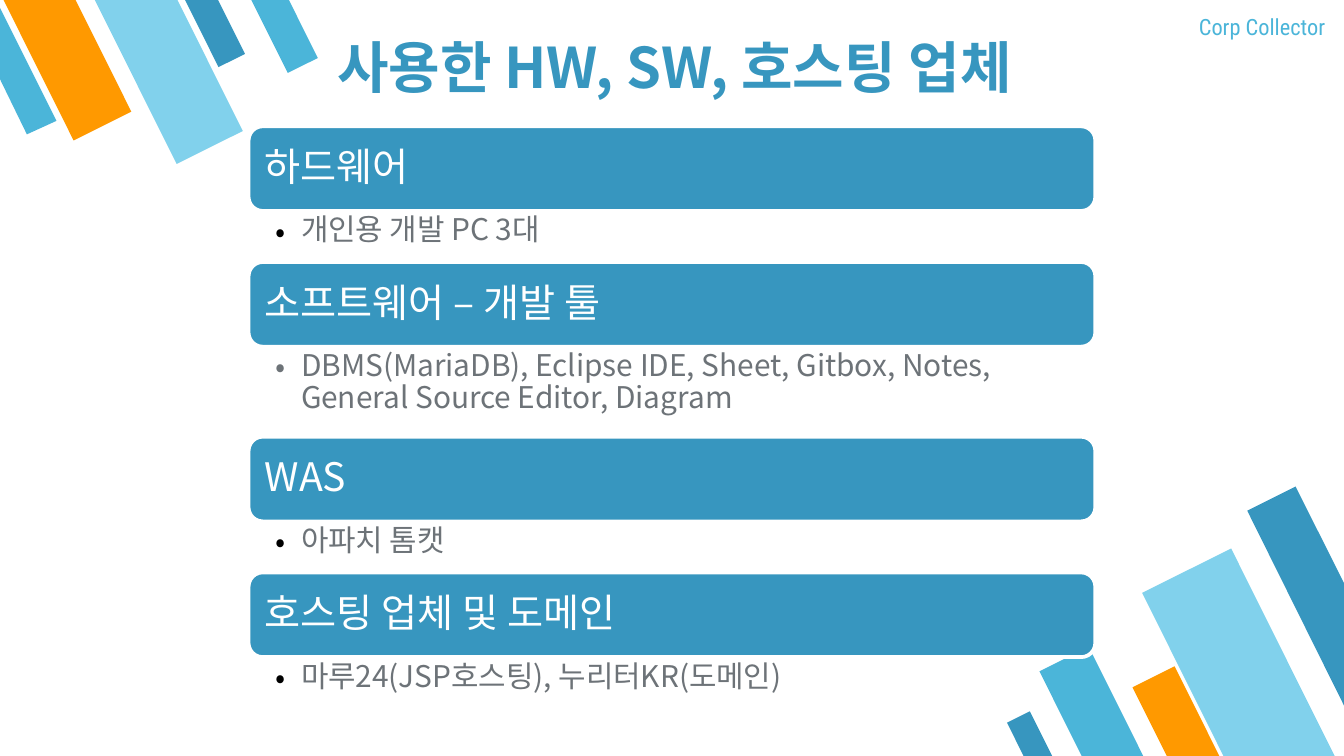
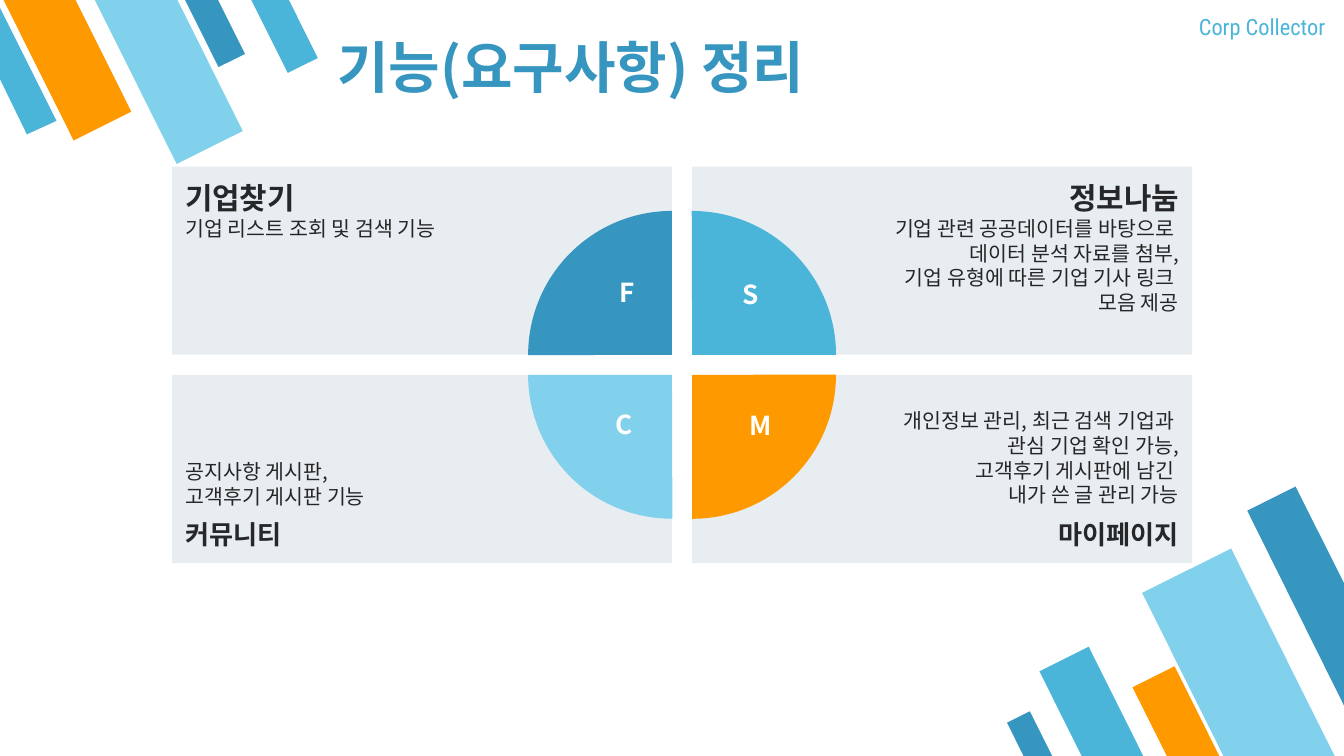
from dataclasses import dataclass

from lxml import etree
from pptx import Presentation
from pptx.dml.color import RGBColor
from pptx.enum.shapes import MSO_SHAPE
from pptx.enum.text import MSO_ANCHOR, MSO_AUTO_SIZE, PP_ALIGN
from pptx.oxml.ns import qn
from pptx.util import Inches, Pt

LEFT, CENTER, RIGHT = PP_ALIGN.LEFT, PP_ALIGN.CENTER, PP_ALIGN.RIGHT
TOP, MIDDLE, BOTTOM = MSO_ANCHOR.TOP, MSO_ANCHOR.MIDDLE, MSO_ANCHOR.BOTTOM
NO_AUTOFIT = MSO_AUTO_SIZE.NONE
RECTANGLE, ROUNDED = MSO_SHAPE.RECTANGLE, MSO_SHAPE.ROUNDED_RECTANGLE
SLANTED, PIE = MSO_SHAPE.FLOWCHART_MANUAL_INPUT, MSO_SHAPE.PIE
TITLE_ONLY = 5


@dataclass(frozen=True)
class Theme:
    blue: str = "3796BF"
    sky: str = "4BB5D9"
    pale: str = "81D1EC"
    orange: str = "FF9900"
    card: str = "E8EDF1"
    white: str = "FFFFFF"
    black: str = "000000"
    gray: str = "6D7378"
    dark: str = "252729"
    body: str = "262626"
    font: str = "Noto Sans CJK KR"
    brand_font: str = "Roboto Condensed"
    title_size: float = 30
    bar_size: float = 21
    detail_size: float = 16
    card_top_size: float = 16
    card_bottom_size: float = 14
    card_size: float = 11
    letter_size: float = 14
    brand_size: float = 12


THEME = Theme()

# Decoration: left, top, width, height, colour
TOP_BARS = [
    (1.49, -0.08, 0.22, 0.56, THEME.blue),
    (0.26, -0.18, 0.48, 1.18, THEME.orange),
    (0.98, -0.2, 0.55, 1.37, THEME.pale),
    (1.99, -0.1, 0.25, 0.62, THEME.sky),
]
TOP_EDGE = [(0.2, 1), (0.42, 0.9), (0, 0.06), (0, 0.59)]
BOTTOM_BARS = [
    (7.94, 4.85, 0.41, 1.02, THEME.sky),
    (8.87, 4.15, 0.74, 1.84, THEME.pale),
    (8.6, 4.99, 0.35, 0.86, THEME.orange),
    (7.59, 5.31, 0.19, 0.48, THEME.blue),
]
BOTTOM_EDGE = [(9.64, 3.62), (9.28, 3.8), (10, 5.25), (10, 4.34)]

# Heading, detail, detail height, bullet colour
RESOURCES = [
    ("하드웨어", "개인용 개발 PC 3대", 0.38, THEME.black),
    ("소프트웨어 – 개발 툴",
     "DBMS(MariaDB), Eclipse IDE, Sheet, Gitbox, Notes, "
     "General Source Editor, Diagram", 0.67, THEME.gray),
    ("WAS", "아파치 톰캣", 0.38, THEME.black),
    ("호스팅 업체 및 도메인", "마루24(JSP호스팅), 누리터KR(도메인)",
     0.38, THEME.black),
]


@dataclass(frozen=True)
class Feature:
    """One quadrant; letter_box is measured from the card's inner corner."""
    name: str
    details: tuple
    letter: str
    letter_box: tuple
    color: str
    column: int
    row: int
    rotation: int
    text_margin: float = 1.1
    detail_gap: float = 0
    last_spacing: float = 1


FEATURES = [
    Feature("기업찾기", ("기업 리스트 조회 및 검색 기능",),
            "F", (-0.49, -0.63, 0.24, 0.45), THEME.blue, 0, 0, 0,
            text_margin=1.5),
    Feature("정보나눔",
            ("기업 관련 공공데이터를 바탕으로 ", "데이터 분석 자료를 첨부,",
             "기업 유형에 따른 기업 기사 링크 ", "모음 제공"),
            "S", (0.26, -0.62, 0.35, 0.44), THEME.sky, 1, 0, 90),
    Feature("마이페이지",
            ("개인정보 관리, 최근 검색 기업과 ", "관심 기업 확인 가능,",
             "고객후기 게시판에 남긴 ", "내가 쓴 글 관리 가능"),
            "M", (0.33, 0.21, 0.23, 0.44), THEME.orange, 1, 1, 180),
    Feature("커뮤니티", ("공지사항 게시판,", "고객후기 게시판 기능"),
            "C", (-0.52, 0.2, 0.27, 0.45), THEME.pale, 0, 1, 270,
            detail_gap=6, last_spacing=0.5),
]


def rgb(color):
    return RGBColor.from_string(color)


def inches(*lengths):
    return [Inches(length) for length in lengths]


def paint(shape, fill, line=None, line_width=2):
    shape.shadow.inherit = False
    shape.fill.solid()
    shape.fill.fore_color.rgb = rgb(fill)
    if line:
        shape.line.color.rgb = rgb(line)
        shape.line.width = Pt(line_width)
    else:
        shape.line.fill.background()


def add_block(shapes, kind, box, fill, line=None):
    block = shapes.add_shape(kind, *inches(*box))
    paint(block, fill, line)
    return block


def set_frame(shape, insets=(0.1, 0.1, 0.1, 0.1), anchor=TOP):
    """Set insets (left, top, right, bottom) and anchor; return the frame."""
    frame = shape.text_frame
    frame.word_wrap = True
    frame.auto_size = NO_AUTOFIT
    frame.vertical_anchor = anchor
    (frame.margin_left, frame.margin_top,
     frame.margin_right, frame.margin_bottom) = inches(*insets)
    return frame


def add_bullet(paragraph, color, font, indent=0.19):
    properties = paragraph._p.get_or_add_pPr()
    properties.set("marL", str(Inches(indent)))
    properties.set("indent", str(-Inches(indent)))
    bullet_color = etree.SubElement(properties, qn("a:buClr"))
    etree.SubElement(bullet_color, qn("a:srgbClr"), val=color)
    etree.SubElement(properties, qn("a:buFont"), typeface=font)
    etree.SubElement(properties, qn("a:buChar"), char="•")


def write(frame, text, size, color, *, bold=False, font=THEME.font, align=LEFT,
          spacing=1, before=0, after=0, bullet=None):
    """Add one paragraph to the frame, filling the empty first one."""
    first = not frame.text
    paragraph = frame.paragraphs[0] if first else frame.add_paragraph()
    if bullet:
        add_bullet(paragraph, bullet, font)
    paragraph.alignment = align
    paragraph.line_spacing = spacing
    paragraph.space_before = Pt(0 if first else before)
    paragraph.space_after = Pt(after)
    run = paragraph.add_run()
    run.text = text
    run.font.size = Pt(size)
    run.font.bold = bold
    run.font.color.rgb = rgb(color)
    run.font.name = font
    properties = run._r.get_or_add_rPr()
    properties.set("kern", "0")
    etree.SubElement(properties, qn("a:ea"), typeface=font)


def add_stripes(slide, bars, rotation, edge, edge_color):
    """Group slanted bars with the one that is cut off by the slide's edge."""
    stripes = slide.shapes.add_group_shape()
    for *box, color in bars:
        bar = add_block(stripes.shapes, SLANTED, box, color)
        bar.rotation = rotation
        bar.element.spPr.find(qn("a:xfrm")).set("flipH", "1")
    start, *rest = [inches(*point) for point in edge]
    outline = stripes.shapes.build_freeform(*start)
    outline.add_line_segments(rest, close=True)
    paint(outline.convert_to_shape(), edge_color)
    return stripes


def decorate_layout(layout, slide):
    """Draw the stripes on the slide, then hand them to its layout."""
    for placeholder in list(layout.placeholders)[1:]:
        layout.shapes.element.remove(placeholder.element)
    corners = [
        add_stripes(slide, TOP_BARS, 333.5, TOP_EDGE, THEME.sky),
        add_stripes(slide, BOTTOM_BARS, 153.5, BOTTOM_EDGE, THEME.blue),
    ]
    for stripes in corners:
        layout.shapes.element.append(stripes.element)


def add_header(slide, title_text):
    title = slide.shapes.title
    title.left, title.top, title.width, title.height = inches(
        2.41, 0.1, 6.3, 0.74)
    write(set_frame(title, anchor=BOTTOM), title_text, THEME.title_size,
          THEME.blue, bold=True)
    brand = slide.shapes.add_textbox(*inches(8.71, 0, 1.25, 0.43))
    write(set_frame(brand), "Corp Collector", THEME.brand_size, THEME.sky,
          font=THEME.brand_font, align=RIGHT)


def add_resource_list(slide, left, top, width, bar_height=0.63, inset=0.03):
    for heading, detail, detail_height, bullet in RESOURCES:
        add_block(slide.shapes, ROUNDED, (left, top, width, bar_height),
                  THEME.blue, THEME.white)
        heading_box = slide.shapes.add_textbox(*inches(
            left + inset, top + inset,
            width - 2 * inset, bar_height - 2 * inset))
        write(set_frame(heading_box, (0.09,) * 4, MIDDLE), heading,
              THEME.bar_size, THEME.white, spacing=0.9)
        top += bar_height
        detail_box = slide.shapes.add_textbox(
            *inches(left, top, width, detail_height))
        write(set_frame(detail_box, (0.2, 0.03, 0.16, 0.03)), detail,
              THEME.detail_size, THEME.gray, spacing=0.9, bullet=bullet)
        top += detail_height


def add_feature_card(slide, feature, box):
    card = add_block(slide.shapes, RECTANGLE, box, THEME.card)
    on_right, at_bottom = feature.column == 1, feature.row == 1
    margin = feature.text_margin
    insets = (margin, 0.1, 0.1, 0.1) if on_right else (0.1, 0.1, margin, 0.1)
    frame = set_frame(card, insets, BOTTOM if at_bottom else TOP)
    align = RIGHT if on_right else LEFT

    if not at_bottom:
        write(frame, feature.name, THEME.card_top_size, THEME.dark, bold=True,
              align=align)
    for detail in feature.details:
        is_last = detail == feature.details[-1]
        write(frame, detail, THEME.card_size, THEME.body, align=align,
              before=feature.detail_gap,
              spacing=feature.last_spacing if is_last else 1)
    if at_bottom:
        write(frame, feature.name, THEME.card_bottom_size, THEME.dark,
              bold=True, align=align, before=6, after=6)


def add_quarter(slide, feature, x, y, diameter=2.14):
    """Draw a quarter circle around the inner corner (x, y)."""
    quarter = add_block(
        slide.shapes, PIE,
        (x - diameter / 2, y - diameter / 2, diameter, diameter),
        feature.color)
    quarter.adjustments[0] = 107.89
    quarter.adjustments[1] = 162
    quarter.rotation = feature.rotation
    dx, dy, width, height = feature.letter_box
    letter = slide.shapes.add_textbox(*inches(x + dx, y + dy, width, height))
    write(set_frame(letter, (0.1, 0.05, 0.1, 0.05)), feature.letter,
          THEME.letter_size, THEME.white, bold=True, align=CENTER)


def add_feature_grid(slide, left, top, card_width=3.72, card_height=1.4,
                     gap=0.15):
    for feature in FEATURES:
        add_feature_card(slide, feature, (
            left + feature.column * (card_width + gap),
            top + feature.row * (card_height + gap),
            card_width, card_height))
    for feature in FEATURES:
        add_quarter(slide, feature,
                    left + card_width + feature.column * gap,
                    top + card_height + feature.row * gap)


def main():
    deck = Presentation()
    deck.slide_width = Inches(10)
    deck.slide_height = deck.slide_width * 9 // 16
    layout = deck.slide_layouts[TITLE_ONLY]

    resources = deck.slides.add_slide(layout)
    decorate_layout(layout, resources)
    add_header(resources, "사용한 HW, SW, 호스팅 업체")
    add_resource_list(resources, 1.85, 0.94, 6.3)

    features = deck.slides.add_slide(layout)
    add_header(features, "기능(요구사항) 정리")
    add_feature_grid(features, 1.28, 1.24)

    deck.save("out.pptx")


if __name__ == "__main__":
    main()
